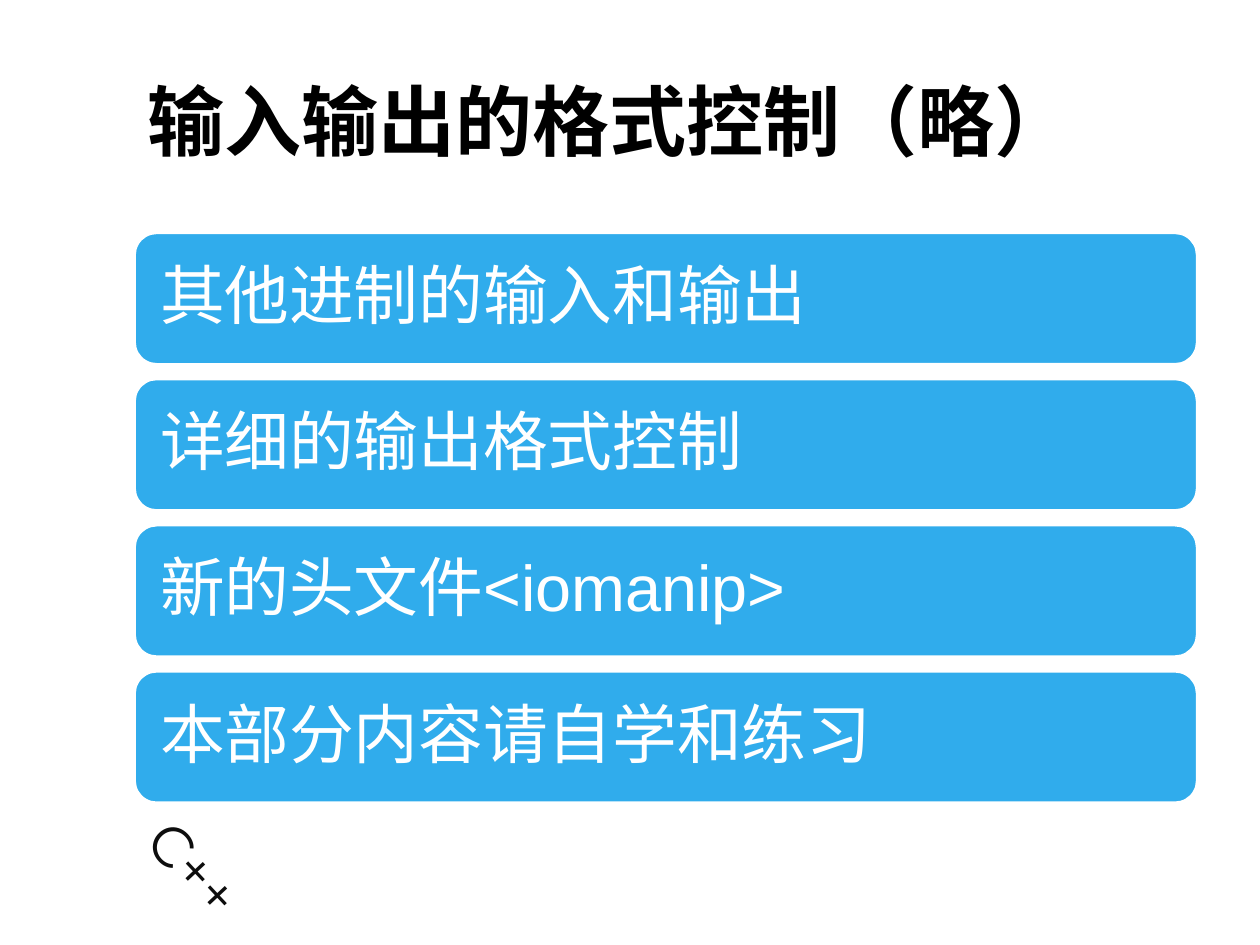
import pptx
import pptx.dml.color
import pptx.enum.shapes
import pptx.enum.text
import pptx.util

Inches = pptx.util.Inches
Pt = pptx.util.Pt
ALIGN = pptx.enum.text.PP_ALIGN
ANCHOR = pptx.enum.text.MSO_ANCHOR
AUTO_SIZE = pptx.enum.text.MSO_AUTO_SIZE

TOPICS = [
    "其他进制的输入和输出",
    "详细的输出格式控制",
    "新的头文件<iomanip>",
    "本部分内容请自学和练习",
]


def color(value):
    return pptx.dml.color.RGBColor.from_string(value)


def write(shape, text, size, ink, font="Arial", bold=False, inset=None,
          anchor=ANCHOR.MIDDLE, fit=AUTO_SIZE.NONE, line_spacing=None, after=None):
    frame = shape.text_frame
    frame.word_wrap = True
    frame.auto_size = fit
    frame.vertical_anchor = anchor
    if inset is not None:
        frame.margin_left = frame.margin_right = inset
        frame.margin_top = frame.margin_bottom = inset
    para = frame.paragraphs[0]
    para.alignment = ALIGN.LEFT
    para.line_spacing = line_spacing
    para.space_after = after
    span = para.add_run()
    span.text = text
    span.font.name = font
    span.font.size = Pt(size)
    span.font.bold = bold
    span.font.color.rgb = color(ink)


class TopicSlide:
    ink = "000000"
    mark_ink = "0D0D0D"
    paper = "FFFFFF"
    accent = "30ACEC"

    def __init__(self, deck):
        self.page = deck.slides.add_slide(deck.slide_layouts[5])

    def title(self, text, left, top, width, height):
        box = self.page.shapes.title
        box.left, box.top, box.width, box.height = left, top, width, height
        write(box, text, 44, self.ink, bold=True)

    def mark(self, text, left, top, width, height, rotation):
        """Add the tilted course mark in the corner."""
        box = self.page.shapes.add_textbox(left, top, width, height)
        box.rotation = rotation
        write(box, text, 32, self.mark_ink, font="Montserrat",
              anchor=ANCHOR.TOP, fit=AUTO_SIZE.SHAPE_TO_FIT_TEXT)

    def bar(self, text, left, top, width, height):
        box = self.page.shapes.add_shape(
            pptx.enum.shapes.MSO_SHAPE.ROUNDED_RECTANGLE, left, top, width, height)
        box.shadow.inherit = False
        box.fill.solid()
        box.fill.fore_color.rgb = color(self.accent)
        box.line.color.rgb = color(self.paper)
        box.line.width = Pt(1.25)
        write(box, text, 37, self.paper, inset=Inches(0.15),
              line_spacing=0.9, after=Pt(13))


def main():
    deck = pptx.Presentation()
    deck.slide_width, deck.slide_height = Inches(10), Inches(7.5)
    slide = TopicSlide(deck)

    left, width = Inches(1.07), Inches(8.43)
    slide.mark("C++", Inches(0.94), Inches(6.78), Inches(1.61), Inches(0.64), 46.9)
    slide.title("输入输出的格式控制（略）", left, Inches(0.29), width, Inches(1.32))

    first_top, pitch = 1.85, 1.16
    for row, topic in enumerate(TOPICS):
        slide.bar(topic, left, Inches(first_top + row * pitch), width, Inches(1.04))

    deck.save("out.pptx")


if __name__ == "__main__":
    main()
